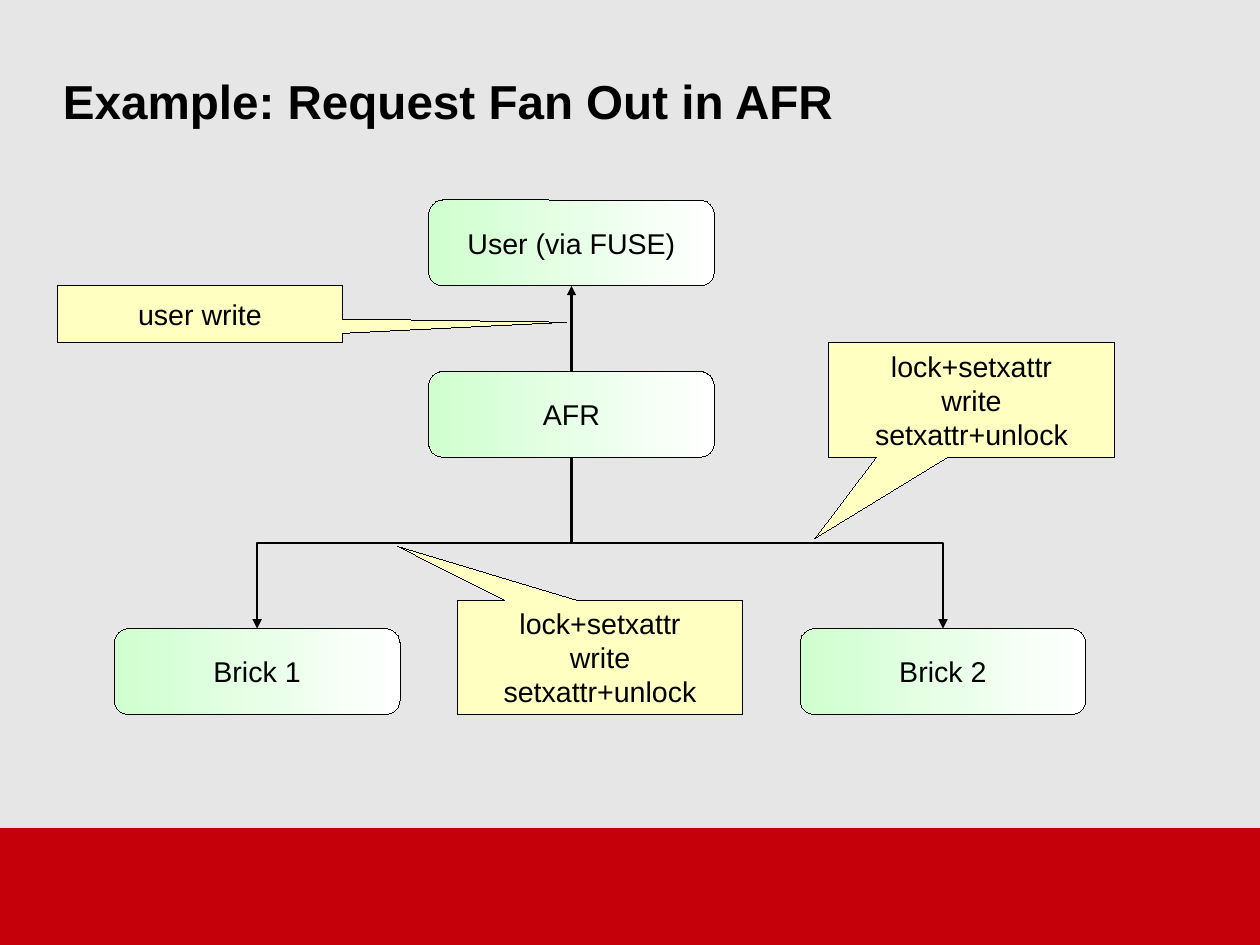
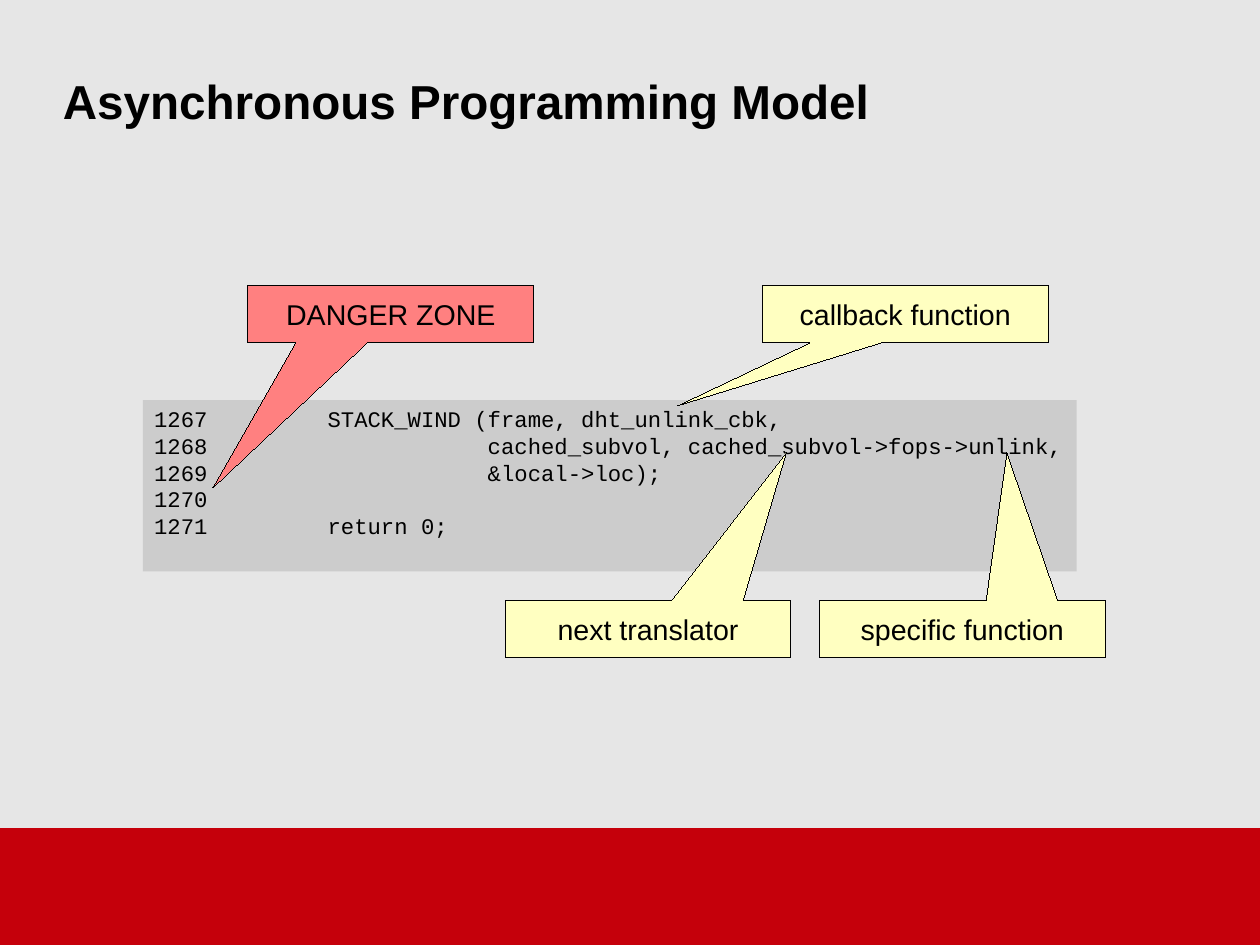
from lxml import etree
from pptx import Presentation
from pptx import util as u
from pptx.dml import color
from pptx.enum import shapes, text
from pptx.oxml import ns

WIDTH, HEIGHT, BAND_TOP = 28 / 2.54, 21 / 2.54, 7.25
BACKGROUND, RED, BLACK = "E6E6E6", "C5000B", "000000"
GREEN, WHITE, YELLOW, PINK, GREY = "CFFFCF", "FFFFFF", "FFFFC1", "FF8080", "CCCCCC"
SHAPE, LINK = shapes.MSO_SHAPE, shapes.MSO_CONNECTOR

WRITE_STEPS = "lock+setxattr\nwrite\nsetxattr+unlock"
UNLINK_CODE = """1267         STACK_WIND (frame, dht_unlink_cbk,
1268                     cached_subvol, cached_subvol->fops->unlink,
1269                     &local->loc);
1270
1271         return 0;"""


def rgb(value):
    return color.RGBColor.from_string(value)


def write(frame, content, size=18, font="Arial", bold=False, ink=BLACK,
          align=text.PP_ALIGN.CENTER, anchor=text.MSO_ANCHOR.MIDDLE,
          wrap=False, insets=(0.1, 0.05)):
    frame.word_wrap = wrap
    frame.vertical_anchor = anchor
    frame.margin_left = frame.margin_right = u.Inches(insets[0])
    frame.margin_top = frame.margin_bottom = u.Inches(insets[1])
    for index, line in enumerate(content.split("\n")):
        paragraph = frame.add_paragraph() if index else frame.paragraphs[0]
        paragraph.alignment = align
        run = paragraph.add_run()
        run.text = line
        run.font.size, run.font.name, run.font.bold = u.Pt(size), font, bold
        run.font.color.rgb = rgb(ink)


class Deck:
    """Holds the shared slide style and draws on the current slide."""

    def __init__(self):
        self.show = Presentation()
        self.show.slide_width = u.Inches(WIDTH)
        self.show.slide_height = u.Inches(HEIGHT)
        backdrop = self.show.slide_master.background.fill
        backdrop.solid()
        backdrop.fore_color.rgb = rgb(BACKGROUND)
        self.slide = None

    def start(self, title):
        self.slide = self.show.slides.add_slide(self.show.slide_layouts[6])
        self.block(SHAPE.RECTANGLE, 0, BAND_TOP, WIDTH, HEIGHT - BAND_TOP, RED, edge=RED)
        heading = self.slide.shapes.add_textbox(
            *map(u.Inches, (0.55, 0.25, 9.92, 1.25)))
        write(heading.text_frame, title, size=30, bold=True, wrap=True,
              align=text.PP_ALIGN.LEFT, insets=(0, 0))

    def block(self, kind, left, top, width, height, fill, edge=BLACK):
        shape = self.slide.shapes.add_shape(
            kind, *map(u.Inches, (left, top, width, height)))
        shape.shadow.inherit = False
        shape.fill.solid()
        shape.fill.fore_color.rgb = rgb(fill)
        if edge:
            shape.line.color.rgb = rgb(edge)
            shape.line._get_or_add_ln().set("w", "0")
        else:
            shape.line.fill.background()
        return shape

    def node(self, label, left, top):
        node = self.block(SHAPE.ROUNDED_RECTANGLE, left, top, 2.5, 0.75, GREEN)
        node.fill.gradient()
        node.fill.gradient_angle = 0
        for stop, tint in zip(node.fill.gradient_stops, (GREEN, WHITE)):
            stop.color.rgb = rgb(tint)
        write(node.text_frame, label)

    def callout(self, label, left, top, tip, height=0.5, fill=YELLOW):
        width = 2.5
        callout = self.block(SHAPE.RECTANGULAR_CALLOUT, left, top, width, height, fill)
        callout.adjustments[0] = (tip[0] - left) / width - 0.5
        callout.adjustments[1] = (tip[1] - top) / height - 0.5
        write(callout.text_frame, label)

    def code(self, listing, left, top, width, height):
        panel = self.block(SHAPE.RECTANGLE, left, top, width, height, GREY, edge=None)
        write(panel.text_frame, listing, size=14, font="Courier New", wrap=True,
              align=text.PP_ALIGN.LEFT, anchor=text.MSO_ANCHOR.TOP)

    def arrow(self, start, end, kind=LINK.STRAIGHT):
        arrow = self.slide.shapes.add_connector(kind, *map(u.Inches, (*start, *end)))
        arrow.line.color.rgb = rgb(BLACK)
        arrow.line.width = u.Pt(1.45)
        outline = arrow.line._get_or_add_ln()
        etree.SubElement(outline, ns.qn("a:tailEnd"), type="triangle")
        etree.SubElement(arrow._element.spPr, ns.qn("a:effectLst"))
        return arrow

    def drop_arrow(self, start, end):
        middle_x, middle_y = (start[0] + end[0]) / 2, (start[1] + end[1]) / 2
        turn = 1 if end[0] < start[0] else -1
        reach_x = turn * (start[1] - middle_y)
        reach_y = turn * (middle_x - start[0])
        arrow = self.arrow((middle_x + reach_x, middle_y + reach_y),
                           (middle_x - reach_x, middle_y - reach_y), LINK.ELBOW)
        frame = arrow._element.spPr.find(ns.qn("a:xfrm"))
        frame.set("rot", str(turn * 90 % 360 * 60000))


def fan_out(deck):
    deck.start("Example: Request Fan Out in AFR")
    for label, left, top in (("User (via FUSE)", 3.75, 1.75), ("AFR", 3.75, 3.25),
                             ("Brick 1", 1, 5.5), ("Brick 2", 7, 5.5)):
        deck.node(label, left, top)
    deck.arrow((5, 3.25), (5, 2.5))
    for brick_center in (2.25, 8.25):
        deck.drop_arrow((5, 4), (brick_center, 5.5))
    deck.callout(WRITE_STEPS, 7.25, 3, (7.13, 4.71), height=1)
    deck.callout(WRITE_STEPS, 4, 5.25, (3.48, 4.78), height=1)
    deck.callout("user write", 0.5, 2.5, (4.96, 2.82))


def async_model(deck):
    deck.start("Asynchronous Programming Model")
    deck.code(UNLINK_CODE, 1.25, 3.5, 8.17, 1.5)
    deck.callout("callback function", 6.67, 2.5, (5.93, 3.55))
    deck.callout("next translator", 4.42, 5.25, (6.88, 3.96))
    deck.callout("specific function", 7.17, 5.25, (8.81, 3.96))
    deck.callout("DANGER ZONE", 2.17, 2.5, (1.86, 4.27), fill=PINK)


def main():
    deck = Deck()
    fan_out(deck)
    async_model(deck)
    deck.show.save("out.pptx")


if __name__ == "__main__":
    main()
